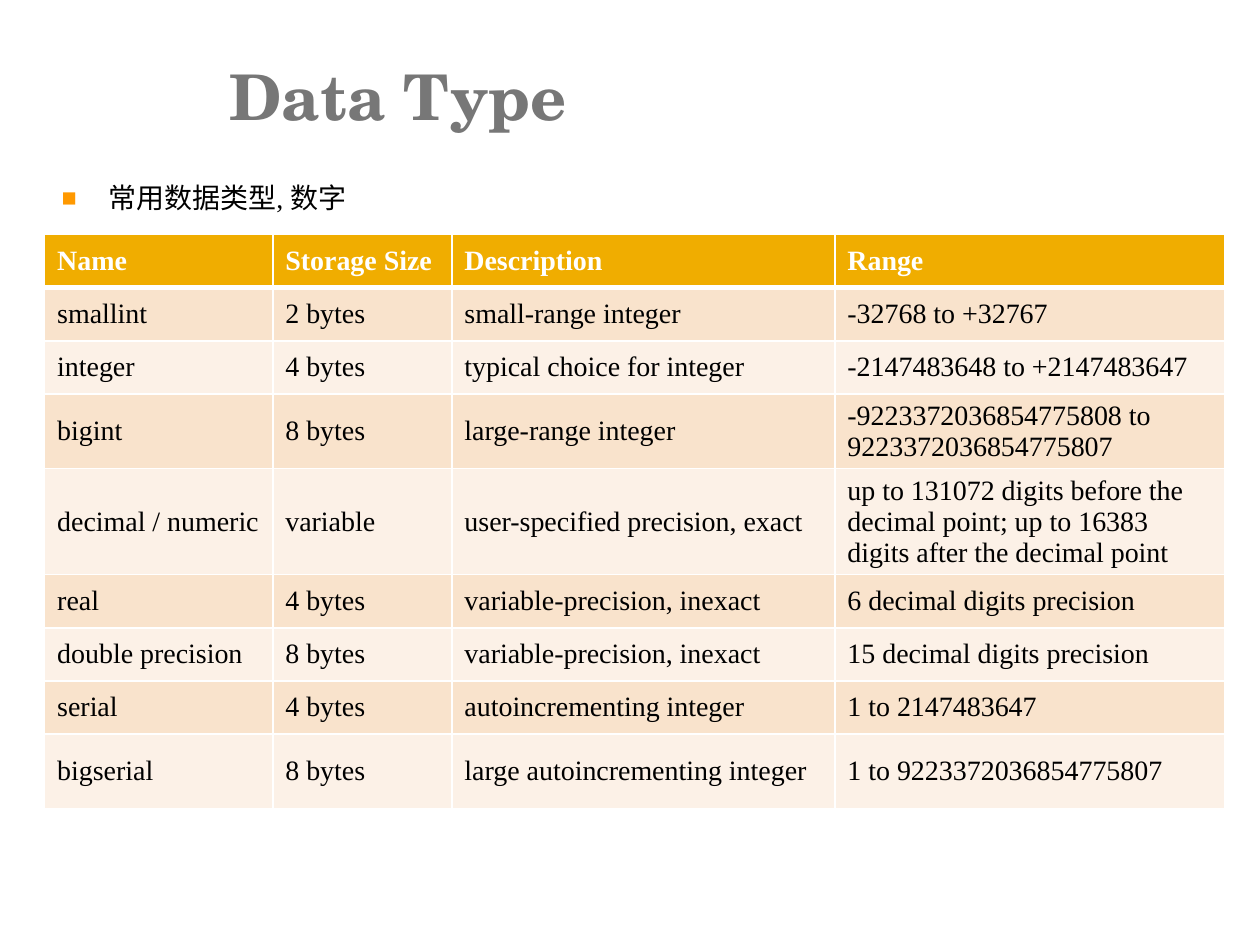
import pptx
import pptx.util
import pptx.dml.color
import pptx.enum.text
import pptx.oxml
import pptx.oxml.ns
from pptx.util import Cm

RGBColor = pptx.dml.color.RGBColor
WHITE = RGBColor(0xFF, 0xFF, 0xFF)
BLACK = RGBColor(0x00, 0x00, 0x00)
GREY = RGBColor(0x77, 0x77, 0x77)
ORANGE = RGBColor(0xFF, 0x99, 0x00)
AMBER = RGBColor(0xF0, 0xAD, 0x00)
PEACH = RGBColor(0xF9, 0xE3, 0xCC)
CREAM = RGBColor(0xFC, 0xF1, 0xE7)

ROWS = [
    ("Name", "Storage Size", "Description", "Range"),
    ("smallint", "2 bytes", "small-range integer", "-32768 to +32767"),
    ("integer", "4 bytes", "typical choice for integer", "-2147483648 to +2147483647"),
    ("bigint", "8 bytes", "large-range integer",
     "-9223372036854775808 to 9223372036854775807"),
    ("decimal / numeric", "variable", "user-specified precision, exact",
     "up to 131072 digits before the decimal point; "
     "up to 16383 digits after the decimal point"),
    ("real", "4 bytes", "variable-precision, inexact", "6 decimal digits precision"),
    ("double precision", "8 bytes", "variable-precision, inexact",
     "15 decimal digits precision"),
    ("serial", "4 bytes", "autoincrementing integer", "1 to 2147483647"),
    ("bigserial", "8 bytes", "large autoincrementing integer",
     "1 to 9223372036854775807"),
]
COLUMN_WIDTHS = [4.6, 3.61, 7.72, 7.87]
ROW_HEIGHTS = [1.07, 1.07, 1.07, 1.5, 2.11, 1.07, 1.07, 1.07, 1.5]


class SlideBuilder:
    title_format = {"name": "TeX Gyre Schola", "size": pptx.util.Pt(36), "bold": True}
    text_format = {"name": "Times New Roman", "size": pptx.util.Pt(16), "bold": False}
    header_format = {**text_format, "bold": True}

    def __init__(self, slide):
        self.slide = slide

    def apply(self, target, values):
        for name, value in values.items():
            setattr(target, name, value)

    def add_text(self, frame, text, values, color):
        paragraph = frame.paragraphs[0]
        paragraph.alignment = pptx.enum.text.PP_ALIGN.LEFT
        run = paragraph.add_run()
        run.text = text
        self.apply(run.font, values)
        run.font.color.rgb = color
        return paragraph

    def place(self, shape, left, top, width, height):
        self.apply(shape, {"left": Cm(left), "top": Cm(top),
                           "width": Cm(width), "height": Cm(height)})

    def add_title(self, text, *box):
        shape = self.slide.shapes.title
        self.place(shape, *box)
        shape.text_frame.vertical_anchor = pptx.enum.text.MSO_ANCHOR.MIDDLE
        self.add_text(shape.text_frame, text, self.title_format, GREY)

    def add_bullet(self, text, *box):
        shape = self.slide.placeholders[1]
        self.place(shape, *box)
        paragraph = self.add_text(shape.text_frame, text, self.text_format, BLACK)
        self.apply(paragraph, {"line_spacing": 1.2, "space_before": pptx.util.Pt(3.2)})
        properties = paragraph._p.get_or_add_pPr()
        properties.set("marL", str(Cm(0.95)))
        properties.set("indent", str(Cm(-0.95)))
        namespace = pptx.oxml.ns.nsdecls("a")
        for element in (
            f'<a:buClr {namespace}><a:srgbClr val="{ORANGE}"/></a:buClr>',
            f'<a:buSzPct {namespace} val="90000"/>',
            f'<a:buChar {namespace} char="■"/>',
        ):
            properties.append(pptx.oxml.parse_xml(element))

    def add_borders(self, cell, widths):
        properties = cell._tc.get_or_add_tcPr()
        namespace = pptx.oxml.ns.nsdecls("a")
        for index, (side, width) in enumerate(widths.items()):
            properties.insert(index, pptx.oxml.parse_xml(
                f'<a:ln{side} {namespace} w="{pptx.util.Pt(width)}"><a:solidFill>'
                f'<a:srgbClr val="{WHITE}"/></a:solidFill></a:ln{side}>'))

    def add_table(self, rows, left, top, column_widths, row_heights):
        table = self.slide.shapes.add_table(
            len(rows), len(column_widths), Cm(left), Cm(top),
            Cm(sum(column_widths)), Cm(sum(row_heights))).table
        for column, width in zip(table.columns, column_widths):
            column.width = Cm(width)
        for index, (row, height, texts) in enumerate(zip(table.rows, row_heights, rows)):
            row.height = Cm(height)
            header = index == 0
            fill = AMBER if header else (CREAM, PEACH)[index % 2]
            widths = {"L": 1, "R": 1, "T": 3 if index == 1 else 1, "B": 3 if header else 1}
            for cell, text in zip(row.cells, texts):
                cell.vertical_anchor = pptx.enum.text.MSO_ANCHOR.MIDDLE
                cell.fill.solid()
                cell.fill.fore_color.rgb = fill
                self.add_borders(cell, widths)
                self.add_text(cell.text_frame, text,
                              self.header_format if header else self.text_format,
                              WHITE if header else BLACK)


def main():
    presentation = pptx.Presentation()
    presentation.slide_width = Cm(25.4)
    presentation.slide_height = Cm(19.05)
    builder = SlideBuilder(presentation.slides.add_slide(presentation.slide_layouts[1]))
    builder.add_title("Data Type", 4.37, 1.02, 19.76, 1.8)
    builder.add_bullet("常用数据类型, 数字", 0.99, 3.38, 23.14, 13.89)
    builder.add_table(ROWS, 0.9, 4.73, COLUMN_WIDTHS, ROW_HEIGHTS)
    presentation.save("out.pptx")


if __name__ == "__main__":
    main()
